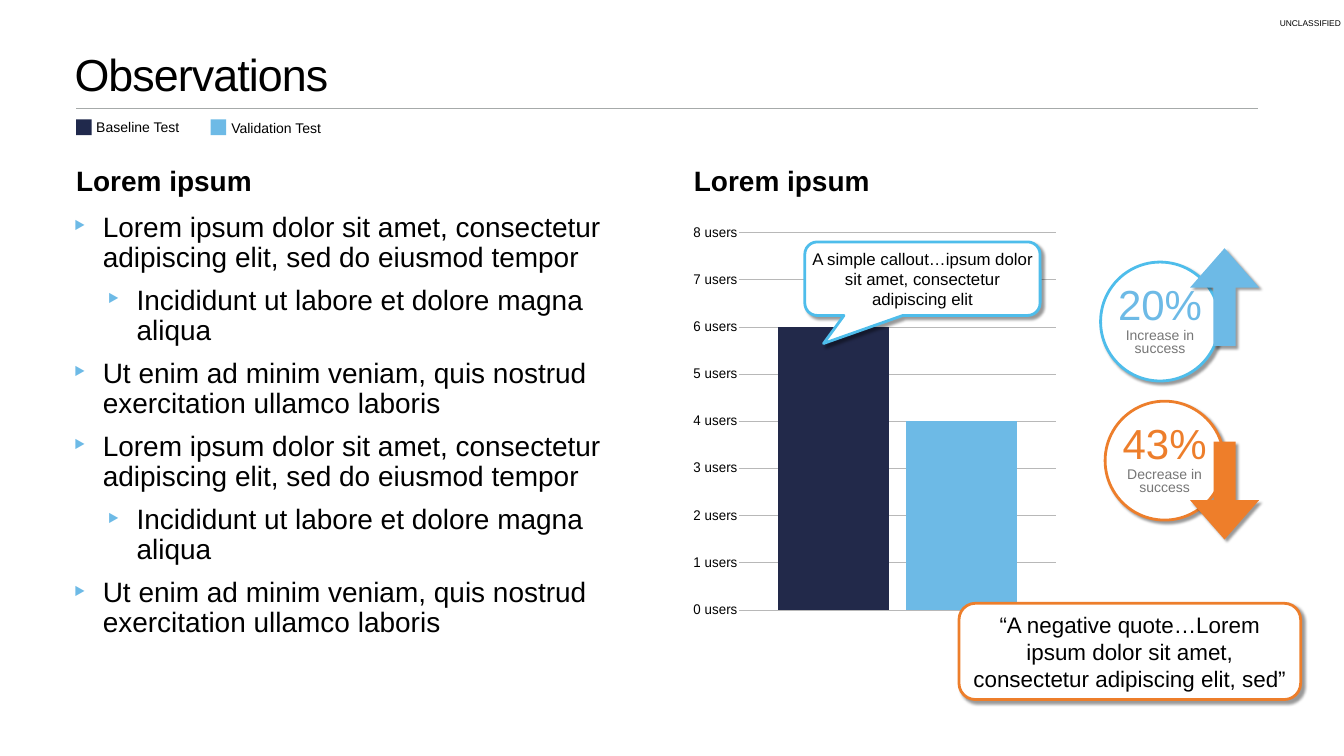
from dataclasses import dataclass

import pptx
import pptx.chart.data
import pptx.dml.color
import pptx.enum.chart
import pptx.enum.shapes
import pptx.enum.text
import pptx.oxml
import pptx.oxml.ns
import pptx.shapes.autoshape
import pptx.shapes.base
import pptx.shapes.shapetree
import pptx.slide
import pptx.text.text
import pptx.util
from lxml import etree

RGBColor = pptx.dml.color.RGBColor
Align = pptx.enum.text.PP_ALIGN
Anchor = pptx.enum.text.MSO_ANCHOR
Kind = pptx.enum.shapes.MSO_SHAPE
Box = tuple[int, int, int, int]  # left, top, width, height in px

EMU_PER_PX = 9144  # 100 px to the inch
FONT = "Arial"
BLACK = RGBColor(0x00, 0x00, 0x00)
WHITE = RGBColor(0xFF, 0xFF, 0xFF)
GRAY = RGBColor(0x76, 0x76, 0x76)
RULE_GRAY = RGBColor(0xA6, 0xAA, 0xA9)
GRID_GRAY = RGBColor(0xB8, 0xB8, 0xB8)
NAVY_KEY = RGBColor(0x20, 0x29, 0x4C)
NAVY_BAR = RGBColor(0x22, 0x29, 0x4A)
BLUE = RGBColor(0x6D, 0xBA, 0xE6)
BRIGHT_BLUE = RGBColor(0x4E, 0xBD, 0xEB)
ORANGE = RGBColor(0xED, 0x7E, 0x2B)
ORANGE_ARROW = RGBColor(0xEE, 0x7E, 0x2A)


@dataclass(frozen=True)
class Key:
    label: str
    color: RGBColor
    swatch_left: int
    label_box: Box


@dataclass(frozen=True)
class Metric:
    value: str
    label: str
    left: int
    top: int
    arrow_top: int
    arrow_rotation: int
    outline: RGBColor
    value_color: RGBColor
    arrow_color: RGBColor


@dataclass(frozen=True)
class Callout:
    text: str
    kind: Kind
    box: Box
    outline: RGBColor
    size: int
    adjustments: tuple[float, ...]


KEYS = (
    Key("Baseline Test", NAVY_KEY, 151, (185, 228, 268, 47)),
    Key("Validation Test", BLUE, 418, (453, 240, 233, 28)),
)
HEADINGS = (("Lorem ipsum", 146), ("Lorem ipsum", 1372))
OBSERVATIONS = (
    (0, "Lorem ipsum dolor sit amet, consectetur adipiscing elit, sed do eiusmod tempor"),
    (1, "Incididunt ut labore et dolore magna aliqua"),
    (0, "Ut enim ad minim veniam, quis nostrud exercitation ullamco laboris"),
) * 2
METRICS = (
    Metric("20%", "Increase in success", 2184, 520, 521, 270, BRIGHT_BLUE, BLUE, BLUE),
    Metric("43%", "Decrease in success", 2193, 796, 905, 90, ORANGE, ORANGE, ORANGE_ARROW),
)
CALLOUTS = (
    Callout("A simple callout…ipsum dolor sit amet, consectetur adipiscing elit",
            Kind.ROUNDED_RECTANGULAR_CALLOUT, (1597, 480, 467, 146),
            BRIGHT_BLUE, 24, (-0.42, 0.88, 0.17)),
    Callout("“A negative quote…Lorem ipsum dolor sit amet, consectetur adipiscing elit, sed”",
            Kind.ROUNDED_RECTANGLE, (1903, 1197, 678, 191), ORANGE, 32, (0.17,)),
)


def px(length: int) -> pptx.util.Emu:
    return pptx.util.Emu(length * EMU_PER_PX)


def write(frame: pptx.text.text.TextFrame, text: str, *, size: int,
          color: RGBColor = BLACK, bold: bool = False, align: Align = Align.LEFT,
          line_spacing: float = 1.0, space_before: int = 0,
          tracking: int = 0, bullet_level: int | None = None) -> None:
    """Add a paragraph, using the empty first one if there is nothing in it yet."""
    first = not frame.paragraphs[0].runs
    paragraph = frame.paragraphs[0] if first else frame.add_paragraph()
    if bullet_level is not None:
        paragraph.level = bullet_level
        add_bullet(paragraph, (59, 126)[bullet_level])
    paragraph.alignment = align
    paragraph.line_spacing = line_spacing
    paragraph.space_before = pptx.util.Pt(0 if first else space_before)
    run = paragraph.add_run()
    run.text = text
    run.font.name = FONT
    run.font.size = pptx.util.Pt(size)
    run.font.bold = bold
    run.font.color.rgb = color
    if tracking:
        run.font._element.set("spc", str(tracking))


def add_bullet(paragraph: pptx.text.text._Paragraph, indent: int) -> None:
    properties = paragraph._p.get_or_add_pPr()
    properties.set("marL", str(px(indent)))
    properties.set("indent", str(px(-59)))
    color = etree.SubElement(properties, pptx.oxml.ns.qn("a:buClr"))
    etree.SubElement(color, pptx.oxml.ns.qn("a:srgbClr"), val=str(BLUE))
    etree.SubElement(properties, pptx.oxml.ns.qn("a:buSzPct"), val="125000")
    etree.SubElement(properties, pptx.oxml.ns.qn("a:buFont"), typeface=FONT)
    etree.SubElement(properties, pptx.oxml.ns.qn("a:buChar"), char="‣")


def set_up_frame(shape: pptx.shapes.autoshape.Shape, anchor: Anchor,
                 inset: int = 6) -> pptx.text.text.TextFrame:
    frame = shape.text_frame
    frame.word_wrap = True
    frame.vertical_anchor = anchor
    frame.margin_left = frame.margin_right = px(inset)
    frame.margin_top = frame.margin_bottom = px(inset)
    return frame


def add_text_box(shapes: pptx.shapes.shapetree._BaseGroupShapes, box: Box,
                 anchor: Anchor = Anchor.TOP, inset: int = 6) -> pptx.text.text.TextFrame:
    return set_up_frame(shapes.add_textbox(*map(px, box)), anchor, inset)


def add_shape(shapes: pptx.shapes.shapetree._BaseGroupShapes, kind: Kind, box: Box,
              fill: RGBColor, outline: RGBColor | None = None,
              shadow: bool = True) -> pptx.shapes.autoshape.Shape:
    shape = shapes.add_shape(kind, *map(px, box))
    shape.fill.solid()
    shape.fill.fore_color.rgb = fill
    if outline is None:
        shape.line.fill.background()
    else:
        shape.line.color.rgb = outline
        shape.line.width = pptx.util.Pt(4)
    shape.shadow.inherit = False
    if shadow:
        add_shadow(shape)
    return shape


def add_shadow(shape: pptx.shapes.base.BaseShape) -> None:
    effects = shape._element.spPr.find(pptx.oxml.ns.qn("a:effectLst"))
    outer = etree.SubElement(
        effects, pptx.oxml.ns.qn("a:outerShdw"), blurRad=str(pptx.util.Pt(4)),
        dist=str(pptx.util.Pt(5)), dir="2700000", rotWithShape="0")
    color = etree.SubElement(outer, pptx.oxml.ns.qn("a:srgbClr"), val=str(BLACK))
    etree.SubElement(color, pptx.oxml.ns.qn("a:alpha"), val="40000")


def add_rule(slide: pptx.slide.Slide) -> None:
    rule = slide.shapes.add_connector(pptx.enum.shapes.MSO_CONNECTOR.STRAIGHT,
                                      px(151), px(215), px(2497), px(215))
    rule.line.color.rgb = RULE_GRAY
    rule.line.width = pptx.util.Pt(2)
    etree.SubElement(rule._element.spPr, pptx.oxml.ns.qn("a:effectLst"))


def add_users_chart(slide: pptx.slide.Slide) -> None:
    data = pptx.chart.data.CategoryChartData()
    data.categories = ["1"]
    data.add_series("Series 1", [6])
    data.add_series("Series 2", [4])
    chart = slide.shapes.add_chart(pptx.enum.chart.XL_CHART_TYPE.COLUMN_CLUSTERED,
                                   *map(px, (1376, 418, 719, 861)), data).chart
    chart.has_legend = chart.has_title = False
    chart.font.name = FONT
    chart.font.size = pptx.util.Pt(20)
    chart.font.color.rgb = BLACK
    plot = chart.plots[0]
    plot.vary_by_categories = False
    plot.gap_width, plot.overlap = 70, -15
    for series, color in zip(plot.series, (NAVY_BAR, BLUE)):
        series.format.fill.solid()
        series.format.fill.fore_color.rgb = color

    for axis in (chart.category_axis, chart.value_axis):
        axis.major_tick_mark = axis.minor_tick_mark = pptx.enum.chart.XL_TICK_MARK.NONE
        axis.format.line.fill.background()
    chart.category_axis.tick_label_position = pptx.enum.chart.XL_TICK_LABEL_POSITION.NONE
    values = chart.value_axis
    values.minimum_scale, values.maximum_scale, values.major_unit = 0, 8, 1
    values.tick_labels.number_format = 'General" users"'
    values.tick_labels.number_format_is_linked = False
    values.major_gridlines.format.line.color.rgb = GRID_GRAY
    values.major_gridlines.format.line.width = pptx.util.Pt(0.5)

    area = chart._chartSpace.chart.plotArea
    for old in area.findall(pptx.oxml.ns.qn("c:layout")):
        area.remove(old)
    layout = etree.Element(pptx.oxml.ns.qn("c:layout"))
    area.insert(0, layout)
    manual = etree.SubElement(layout, pptx.oxml.ns.qn("c:manualLayout"))
    for name, value in (("layoutTarget", "inner"), ("xMode", "edge"), ("yMode", "edge"),
                        ("x", "0.08"), ("y", "0.05"), ("w", "0.92"), ("h", "0.87")):
        etree.SubElement(manual, pptx.oxml.ns.qn(f"c:{name}"), val=value)


def add_callout(slide: pptx.slide.Slide, callout: Callout) -> None:
    shape = add_shape(slide.shapes, callout.kind, callout.box, WHITE, callout.outline)
    for index, value in enumerate(callout.adjustments):
        shape.adjustments[index] = value
    write(set_up_frame(shape, Anchor.MIDDLE), callout.text,
          size=callout.size, align=Align.CENTER)


def add_metric(slide: pptx.slide.Slide, metric: Metric) -> None:
    shapes = slide.shapes.add_group_shape().shapes
    add_shape(shapes, Kind.OVAL, (metric.left, metric.top, 236, 236), WHITE, metric.outline)
    frame = add_text_box(shapes, (metric.left + 19, metric.top + 38, 198, 161))
    write(frame, metric.value, size=60, color=metric.value_color,
          align=Align.CENTER, line_spacing=0.9)
    write(frame, metric.label, size=20, color=GRAY, align=Align.CENTER, line_spacing=0.8)
    arrow = add_shape(shapes, Kind.RIGHT_ARROW, (2333, metric.arrow_top, 194, 137),
                      metric.arrow_color)
    arrow.adjustments[0], arrow.adjustments[1] = 0.32, 0.57
    arrow.rotation = metric.arrow_rotation


def add_key(slide: pptx.slide.Slide, key: Key) -> None:
    add_shape(slide.shapes, Kind.RECTANGLE, (key.swatch_left, 237, 31, 31),
              key.color, shadow=False)
    write(add_text_box(slide.shapes, key.label_box, Anchor.MIDDLE), key.label, size=20)


def main() -> None:
    presentation = pptx.Presentation()
    presentation.slide_width, presentation.slide_height = px(2667), px(1500)
    slide = presentation.slides.add_slide(presentation.slide_layouts[6])

    add_rule(slide)
    write(add_text_box(slide.shapes, (0, 0, 2667, 93), Anchor.MIDDLE), "UNCLASSIFIED",
          size=12, align=Align.RIGHT, line_spacing=0.9)
    write(add_text_box(slide.shapes, (142, 108, 2359, 137)), "Observations",
          size=64, line_spacing=0.8, tracking=-130)
    body = add_text_box(slide.shapes, (139, 417, 1148, 986))
    for level, text in OBSERVATIONS:
        write(body, text, size=40, line_spacing=0.9, space_before=18, bullet_level=level)
    for text, left in HEADINGS:
        write(add_text_box(slide.shapes, (left, 320, 1148, 91), inset=5), text,
              size=40, bold=True)

    add_users_chart(slide)
    quote_above, quote_below = CALLOUTS
    add_callout(slide, quote_above)
    for metric in METRICS:
        add_metric(slide, metric)
    add_callout(slide, quote_below)
    for key in KEYS:
        add_key(slide, key)
    presentation.save("out.pptx")


if __name__ == "__main__":
    main()
